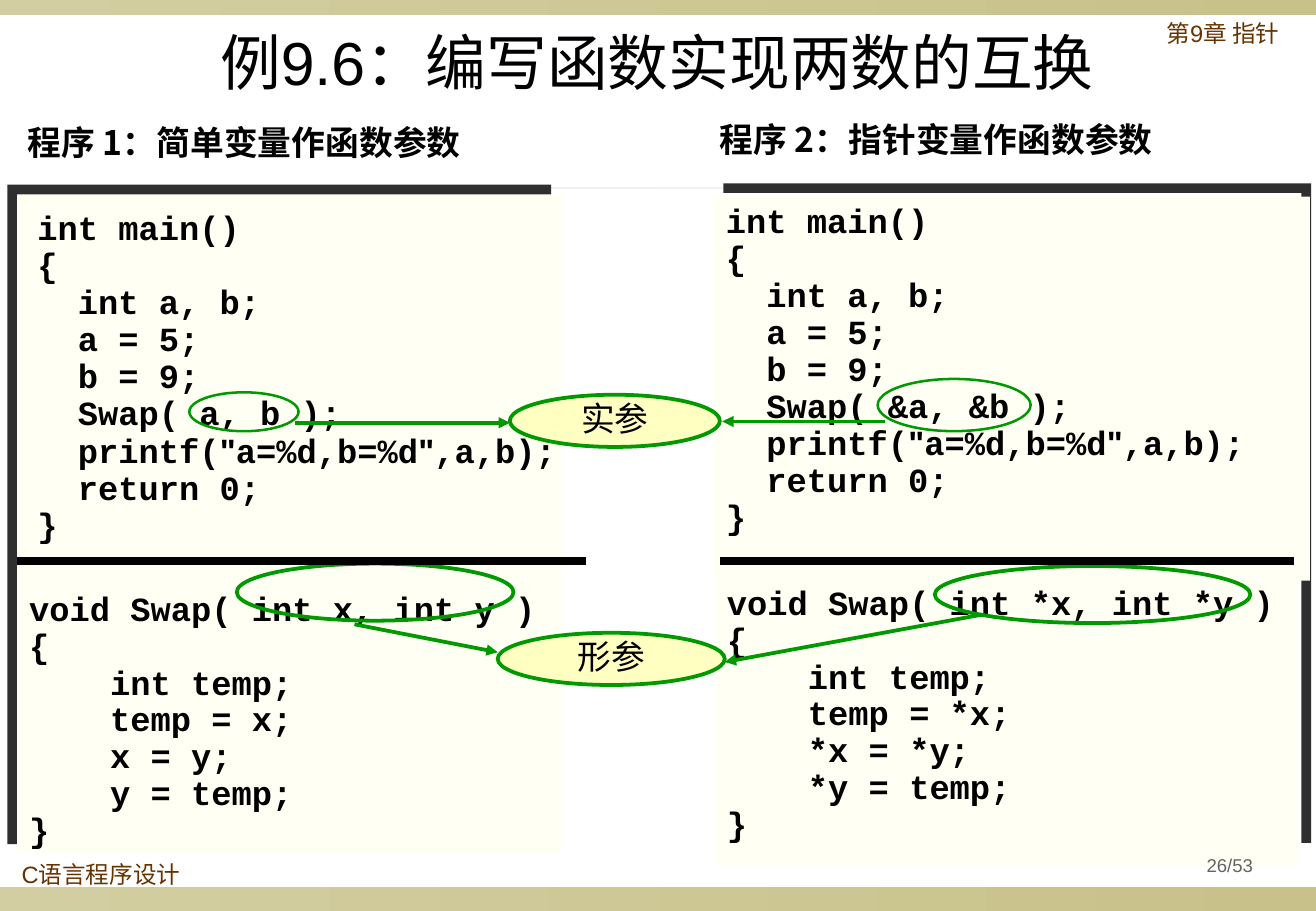
import pptx
import pptx.dml.color
import pptx.enum.shapes
import pptx.enum.text
import pptx.oxml
import pptx.oxml.ns
import pptx.util
from lxml import etree

RGB = pptx.dml.color.RGBColor
SHAPE = pptx.enum.shapes.MSO_SHAPE
ALIGN = pptx.enum.text.PP_ALIGN
ANCHOR = pptx.enum.text.MSO_ANCHOR
qn = pptx.oxml.ns.qn

PX = 9144
BLACK = RGB(0x00, 0x00, 0x00)
WHITE = RGB(0xFF, 0xFF, 0xFF)
PAPER = RGB(0xFF, 0xFF, 0xF4)
SHADE = RGB(0x2F, 0x2F, 0x2F)
GREEN = RGB(0x00, 0x99, 0x00)
YELLOW = RGB(0xFF, 0xFF, 0xC2)
BROWN = RGB(0x66, 0x33, 0x00)
GRAY = RGB(0x63, 0x63, 0x63)
BAND = (RGB(0xD3, 0xCE, 0xA1), RGB(0xC8, 0xC1, 0x8A))
RULE = (RGB(0xED, 0xEC, 0xE5), RGB(0xF8, 0xF7, 0xF4))
SANS = "Arial"
CJK = "Noto Sans CJK SC"
MONO = "Courier New"

MAIN_CODE = """int main()
{
  int a, b;
  a = 5;
  b = 9;
  Swap( %s );
  printf("a=%%d,b=%%d",a,b);
  return 0;
}"""
SWAP_BY_VALUE = """void Swap( int x, int y )
{
    int temp;
    temp = x;
    x = y;
    y = temp;
}"""
SWAP_BY_POINTER = """void Swap( int *x, int *y )
{
    int temp;
    temp = *x;
    *x = *y;
    *y = temp;
}"""


def px(*values):
    return [pptx.util.Emu(v * PX) for v in values]


def split_quotes(line):
    for i, part in enumerate(line.split('"')):
        if i:
            yield '"', SANS
        if part:
            yield part, MONO


def write(sp, text, size=20, font=SANS, color=BLACK, bold=False,
          align=ALIGN.LEFT, spacing=0.9, anchor=ANCHOR.TOP, inset=(10, 5, 10, 5)):
    tf = sp.text_frame
    tf.word_wrap = True
    tf.auto_size = pptx.enum.text.MSO_AUTO_SIZE.NONE
    tf.vertical_anchor = anchor
    tf.margin_left, tf.margin_top, tf.margin_right, tf.margin_bottom = px(*inset)
    for i, line in enumerate(text.split("\n")):
        p = tf.add_paragraph() if i else tf.paragraphs[0]
        pPr = p._p.get_or_add_pPr()
        pPr.set("marL", "0")
        pPr.set("indent", "0")
        etree.SubElement(pPr, qn("a:buNone"))
        p.alignment = align
        p.line_spacing = spacing
        p.space_before = pptx.util.Pt(0)
        for part, name in split_quotes(line) if font == MONO else [(line, font)]:
            r = p.add_run()
            r.text = part
            r.font.name = name
            r.font.size = pptx.util.Pt(size)
            r.font.bold = bold
            r.font.color.rgb = color
            ea = etree.SubElement(r.font._element, qn("a:ea"))
            ea.set("typeface", CJK)


def write_code(sp, text, spacing=21.8, top=5):
    write(sp, text, font=MONO, bold=True, spacing=pptx.util.Pt(spacing),
          inset=(10, top, 10, 5))


def add_box(s, x, y, w, h, fill=None, line=None, width=2.25, shape=SHAPE.RECTANGLE):
    sp = s.shapes.add_shape(shape, *px(x, y, w, h))
    sp.shadow.inherit = False
    if fill is None:
        sp.fill.background()
    else:
        sp.fill.solid()
        sp.fill.fore_color.rgb = fill
    if line is None:
        sp.line.fill.background()
    else:
        sp.line.color.rgb = line
        sp.line.width = pptx.util.Pt(width)
    return sp


def add_gradient(s, x, y, w, h, colors):
    sp = add_box(s, x, y, w, h)
    sp.fill.gradient()
    sp.fill.gradient_angle = 0
    for stop, color in zip(sp.fill.gradient_stops, colors):
        stop.color.rgb = color


def add_oval(s, x, y, w, h, fill=None, width=2.25):
    return add_box(s, x, y, w, h, fill, GREEN, width, SHAPE.OVAL)


def add_label(s, x, y, w, h, text):
    sp = add_oval(s, x, y, w, h, YELLOW)
    write(sp, text, font=CJK, align=ALIGN.CENTER, anchor=ANCHOR.MIDDLE)


def add_text(s, x, y, w, h, text, **fmt):
    sp = s.shapes.add_textbox(*px(x, y, w, h))
    write(sp, text, **fmt)
    return sp


def add_line(s, x1, y1, x2, y2, color, width, arrow=False):
    cx = s.shapes.add_connector(pptx.enum.shapes.MSO_CONNECTOR.STRAIGHT,
                                *px(x1, y1, x2, y2))
    cx.line.color.rgb = color
    cx.line.width = pptx.util.Pt(width)
    if arrow:
        etree.SubElement(cx.line._get_or_add_ln(), qn("a:headEnd")).set("type", "triangle")
    etree.SubElement(cx.element.spPr, qn("a:effectLst"))


def place(sp, x, y, w, h):
    sp.left, sp.top, sp.width, sp.height = px(x, y, w, h)
    sp.element.getparent().append(sp.element)


def main():
    prs = pptx.Presentation()
    prs.slide_width, prs.slide_height = px(1084, 750)
    s = prs.slides.add_slide(prs.slide_layouts[1])
    title, body = s.placeholders

    add_gradient(s, 0, 730, 1084, 20, BAND)
    add_gradient(s, 0, 0, 1084, 12, BAND)
    add_gradient(s, 54, 154, 975, 2, RULE)
    add_text(s, 8, 706, 156, 32, "C语言程序设计", size=14, color=BROWN)
    add_text(s, 951, 13, 126, 39, "第9章 指针", size=14, color=BROWN,
             inset=(10, 5, 20, 5))

    add_box(s, 596, 151, 484, 543, SHADE)
    add_box(s, 588, 159, 484, 543, WHITE)
    write_code(add_box(s, 589, 437, 480, 276, PAPER), SWAP_BY_POINTER, top=45)
    write_code(add_box(s, 588, 162, 491, 316, PAPER), MAIN_CODE % "&a, &b", 22)

    add_box(s, 6, 152, 448, 543, SHADE)
    add_box(s, 14, 160, 448, 543, PAPER)
    place(body, 14, 410, 445, 303)
    write_code(body, SWAP_BY_VALUE, top=77)
    write_code(add_text(s, 21, 168, 447, 285, ""), MAIN_CODE % "a, b", 22)

    add_oval(s, 156, 323, 90, 32, width=1.5)
    add_oval(s, 723, 312, 126, 43, width=1.5)
    add_oval(s, 195, 464, 228, 47)
    add_oval(s, 770, 466, 260, 47)
    add_label(s, 420, 325, 173, 43, "实参")
    add_label(s, 410, 521, 187, 43, "形参")
    for ends in ((420, 348, 243, 348), (595, 347, 729, 347),
                 (597, 545, 809, 506), (410, 537, 292, 514)):
        add_line(s, *ends, GREEN, 2.25, arrow=True)
    for left, right in ((14, 483), (593, 1066)):
        add_line(s, left, 462, right, 462, BLACK, 4.5)

    place(title, 37, 25, 1008, 61)
    write(title, "例9.6：编写函数实现两数的互换", size=36, align=ALIGN.CENTER, spacing=0.85)
    add_text(s, 13, 99, 505, 40, "程序 1：简单变量作函数参数", font=CJK, bold=True)
    add_text(s, 583, 97, 501, 40, "程序 2：指针变量作函数参数", font=CJK, bold=True)
    add_text(s, 959, 698, 108, 31, "26/53", size=11, color=GRAY, align=ALIGN.CENTER,
             anchor=ANCHOR.MIDDLE, inset=(5, 5, 5, 5))
    prs.save("out.pptx")


if __name__ == "__main__":
    main()
